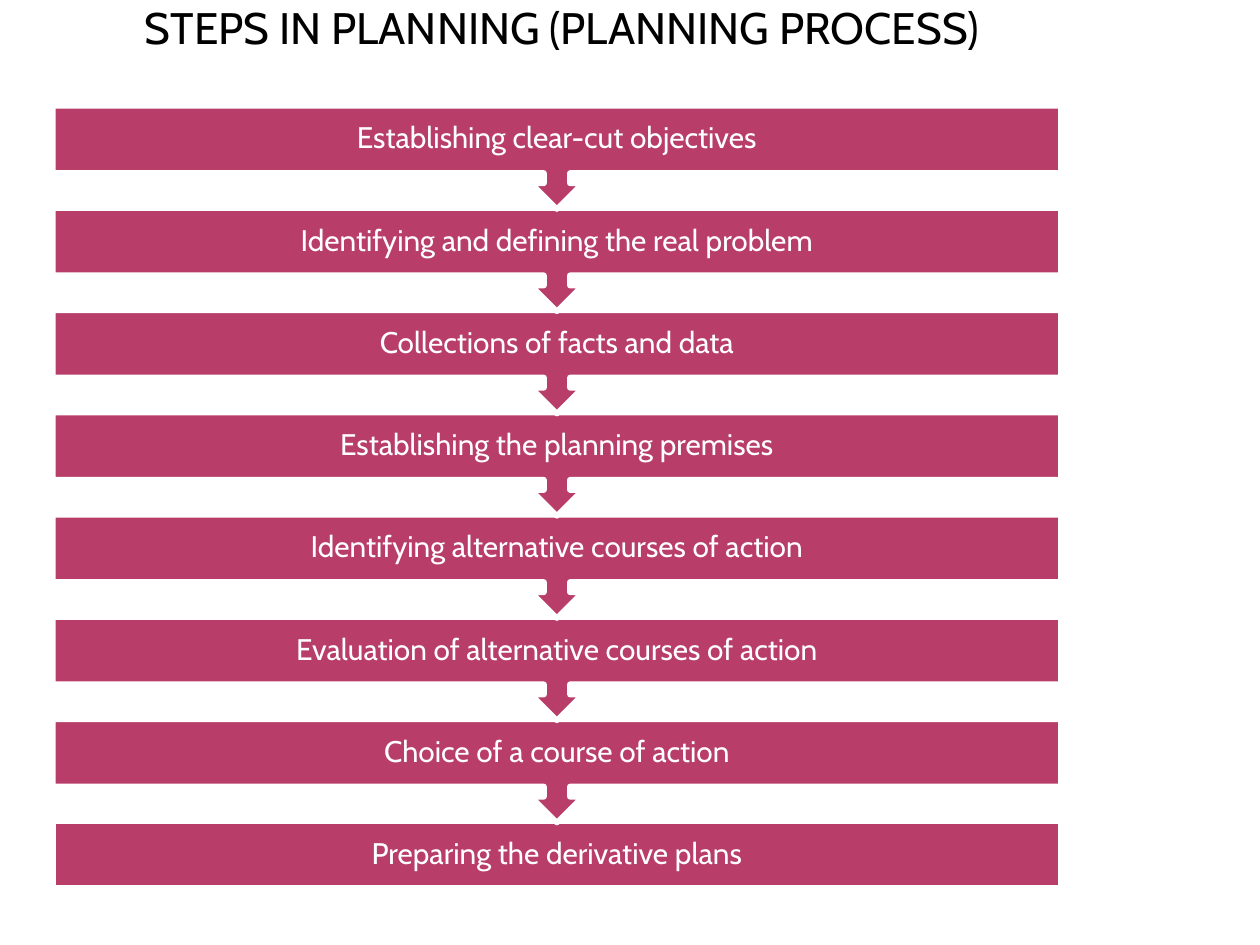
from pptx import Presentation
from pptx.dml.color import RGBColor
from pptx.enum.shapes import MSO_SHAPE
from pptx.enum.text import MSO_ANCHOR, PP_ALIGN
from pptx.util import Inches, Pt

BLACK = RGBColor(0x00, 0x00, 0x00)
WHITE = RGBColor(0xFF, 0xFF, 0xFF)
ROSE = RGBColor(0xB8, 0x3D, 0x68)
RECT = MSO_SHAPE.RECTANGLE
CALLOUT = MSO_SHAPE.UP_ARROW_CALLOUT
MIDDLE = MSO_ANCHOR.MIDDLE
BOTTOM = MSO_ANCHOR.BOTTOM
CENTER = PP_ALIGN.CENTER


class Deck:
    font = "Cabin"

    def __init__(self, wide, high):
        self.deck = Presentation()
        self.deck.slide_width = Inches(wide)
        self.deck.slide_height = Inches(high)
        self.slide = self.deck.slides.add_slide(self.deck.slide_layouts[6])

    def shape(self, kind, box, turn=0):
        item = self.slide.shapes.add_shape(kind, *map(Inches, box))
        item.shadow.inherit = False
        item.fill.solid()
        item.fill.fore_color.rgb = ROSE
        item.line.color.rgb = WHITE
        item.line.width = Pt(3.15)
        item.rotation = turn

    def text(self, words, box, size, color, anchor, pads, space=1.0):
        frame = self.slide.shapes.add_textbox(*map(Inches, box)).text_frame
        frame.word_wrap = True
        frame.vertical_anchor = anchor
        (frame.margin_left, frame.margin_top,
         frame.margin_right, frame.margin_bottom) = map(Inches, pads)
        para = frame.paragraphs[0]
        para.alignment = CENTER
        para.line_spacing = space
        run = para.add_run()
        run.text = words
        run.font.name = self.font
        run.font.size = Pt(size)
        run.font.color.rgb = color


STEPS = [
    "Establishing clear-cut objectives",
    "Identifying and defining the real problem",
    "Collections of facts and data",
    "Establishing the planning premises",
    "Identifying alternative courses of action",
    "Evaluation of alternative courses of action",
    "Choice of a course of action",
    "Preparing the derivative plans",
]
LEFT, WIDTH = 0.42, 8
FIRST, FINAL = 0.84, 6.52
BAR, ARROW = 0.53, 0.82
LAST = len(STEPS) - 1
PITCH = (FINAL - FIRST) / LAST

deck = Deck(10, 7.5)
deck.text("STEPS IN PLANNING (PLANNING PROCESS)", (0.5, 0.17, 7.92, 0.67),
          25.2, BLACK, BOTTOM, (0.05, 0, 0.05, 0.42))

for index, step in reversed(list(enumerate(STEPS))):
    top = FIRST + index * PITCH
    if index == LAST:
        deck.shape(RECT, (LEFT, top, WIDTH, BAR))
    else:
        deck.shape(CALLOUT, (LEFT, top, WIDTH, ARROW), 180)
    deck.text(step, (LEFT, top, WIDTH, BAR), 17, WHITE, MIDDLE, [0.13] * 4, 0.9)

deck.deck.save("out.pptx")
